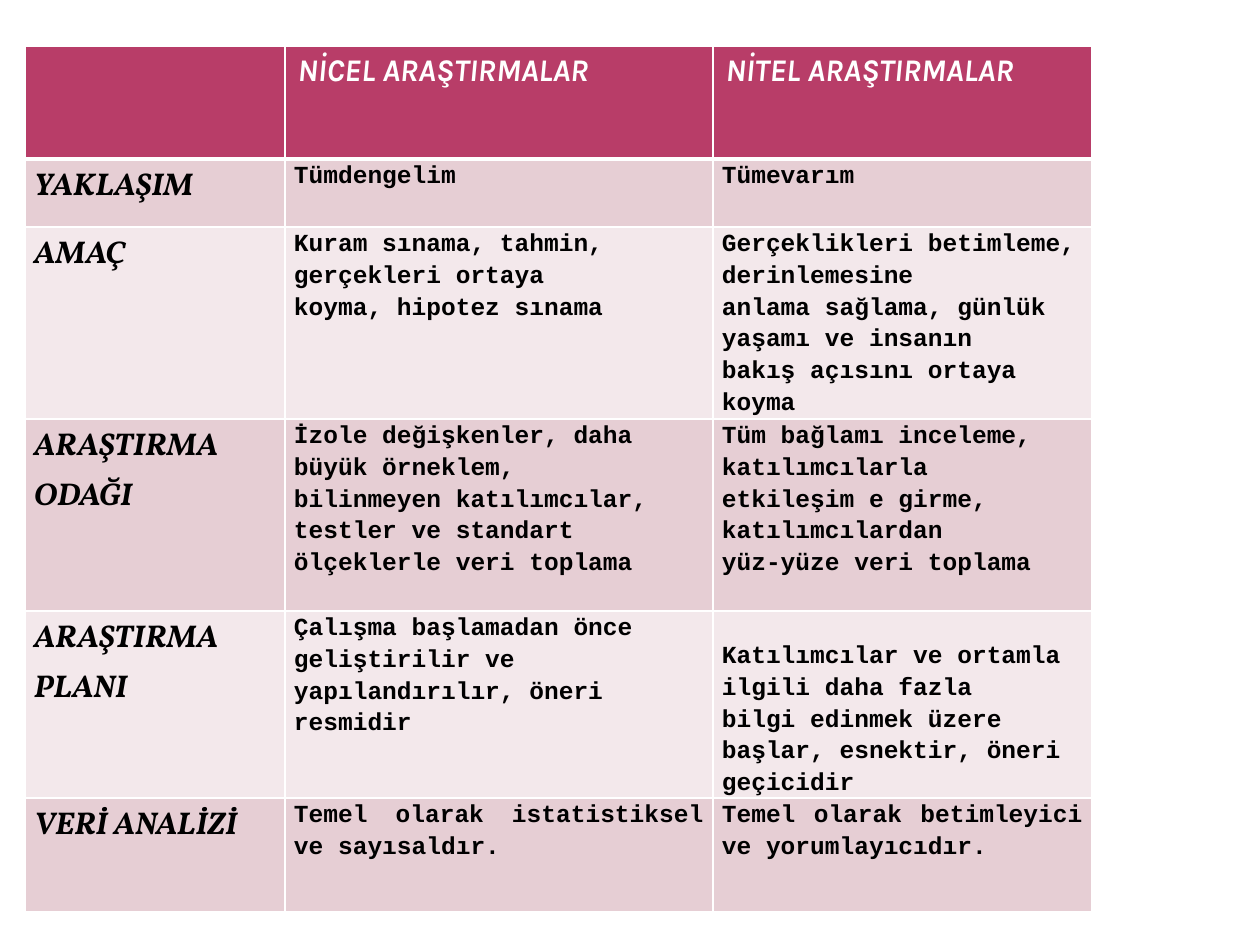
from lxml import etree
from pptx import Presentation
from pptx.dml.color import RGBColor
from pptx.enum import text
from pptx.oxml.ns import qn

SCALE = 914400 / 126
WHITE, BLACK, ROSE = "FFFFFF", "000000", "B83D68"
BANDS = ["E6CED4", "F3E8EB"]
COLS = [260, 428, 379]
ROWS = [113, 68, 192, 192, 187, 114]
HEAD = ["", "NİCEL ARAŞTIRMALAR", "NİTEL ARAŞTIRMALAR"]
BODY = [
    ["YAKLAŞIM", "Tümdengelim", "Tümevarım"],
    ["AMAÇ",
     "Kuram sınama, tahmin, gerçekleri ortaya\nkoyma, hipotez sınama",
     "Gerçeklikleri betimleme, derinlemesine\n"
     "anlama sağlama, günlük yaşamı ve insanın\n"
     "bakış açısını ortaya koyma"],
    ["ARAŞTIRMA ODAĞI",
     "İzole değişkenler, daha büyük örneklem,\n"
     "bilinmeyen katılımcılar, testler ve standart\n"
     "ölçeklerle veri toplama",
     "Tüm bağlamı inceleme, katılımcılarla\n"
     "etkileşim e girme, katılımcılardan\n"
     "yüz-yüze veri toplama"],
    ["ARAŞTIRMA PLANI",
     "Çalışma başlamadan önce geliştirilir ve\nyapılandırılır, öneri resmidir",
     "Katılımcılar ve ortamla ilgili daha fazla\n"
     "bilgi edinmek üzere başlar, esnektir, öneri\n"
     "geçicidir"],
    ["VERİ ANALİZİ",
     "Temel olarak istatistiksel ve sayısaldır.",
     "Temel olarak betimleyici ve yorumlayıcıdır."],
]


def px(n):
    return round(n * SCALE)


def color(code):
    return RGBColor.from_string(code)


def frame(cell, top=1, low=1):
    """Give the cell white borders; top and low are widths in points."""
    props = cell._tc.get_or_add_tcPr()
    for side, width in zip("LRTB", (1, 1, top, low)):
        line = etree.SubElement(props, qn(f"a:ln{side}"), w=str(width * 12700))
        fill = etree.SubElement(line, qn("a:solidFill"))
        etree.SubElement(fill, qn("a:srgbClr"), val=WHITE)


def paint(cell, shade):
    cell.fill.solid()
    cell.fill.fore_color.rgb = color(shade)


def write(cell, words, face, size, ink, slant, align=None, space=None):
    cell.text_frame.text = words
    for para in cell.text_frame.paragraphs:
        para.alignment = align
        para.line_spacing = space
        for run in para.runs:
            font = run.font
            font.name, font.size = face, size * 12700
            font.bold, font.italic = True, slant
            font.color.rgb = color(ink)


def header(table):
    for col, words in enumerate(HEAD):
        cell = table.cell(0, col)
        frame(cell, low=3)
        paint(cell, ROSE)
        write(cell, words, "Karla", 18, WHITE, True)


def body(table):
    just = text.PP_ALIGN.JUSTIFY
    for row, line in enumerate(BODY, 1):
        for col, words in enumerate(line):
            cell = table.cell(row, col)
            frame(cell, top=3 if row == 1 else 1)
            paint(cell, BANDS[(row - 1) % 2])
            cell.margin_left = cell.margin_right = px(9)
            cell.margin_top = cell.margin_bottom = 0
            if col == 0:
                write(cell, words, "Vollkorn", 18, BLACK, True, just, 1.15)
            else:
                align = text.PP_ALIGN.LEFT if "\n" in words else just
                write(cell, words, "Courier New", 14, BLACK, False, align, 1.15)
    table.cell(4, 2).margin_top = px(28)


def grid(slide, left, top):
    """Place the comparison table with its corner at left, top."""
    shape = slide.shapes.add_table(len(ROWS), len(COLS), px(left), px(top),
                                   px(sum(COLS)), px(sum(ROWS)))
    table = shape.table
    for col, width in zip(table.columns, COLS):
        col.width = px(width)
    for row, height in zip(table.rows, ROWS):
        row.height = px(height)
    header(table)
    body(table)


def main():
    deck = Presentation()
    deck.slide_width, deck.slide_height = px(1260), px(945)
    slide = deck.slides.add_slide(deck.slide_layouts[6])
    grid(slide, 25, 46)
    deck.save("out.pptx")


if __name__ == "__main__":
    main()
